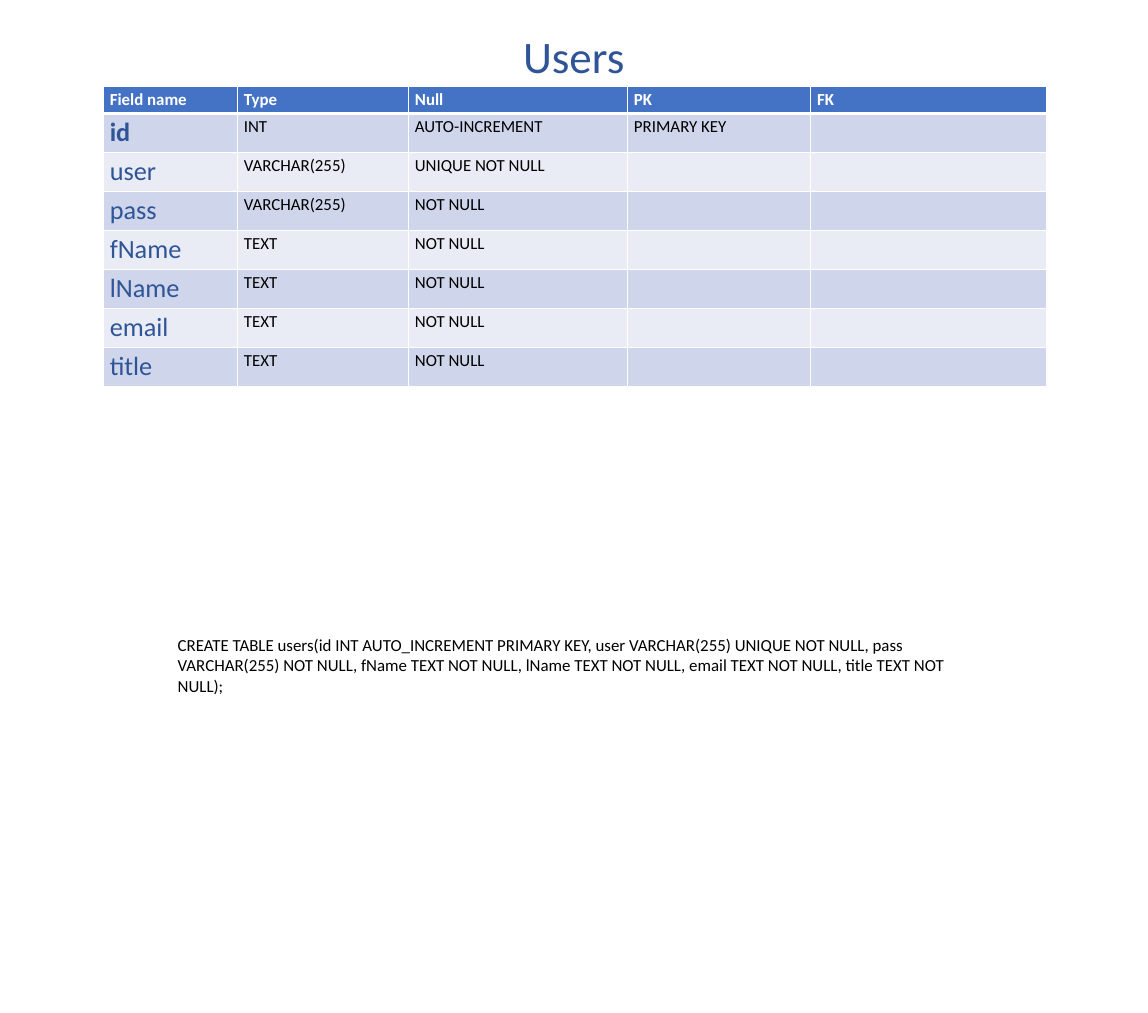
from lxml import etree
from pptx import Presentation
from pptx.dml.color import RGBColor
from pptx.enum.text import MSO_ANCHOR, MSO_AUTO_SIZE, PP_ALIGN
from pptx.oxml.ns import qn
from pptx.util import Inches, Pt

# Content
TITLE = "Users"
HEADER = ("Field name", "Type", "Null", "PK", "FK")
FIELDS = [
    ("id", "INT", "AUTO-INCREMENT", "PRIMARY KEY", ""),
    ("user", "VARCHAR(255)", "UNIQUE NOT NULL", "", ""),
    ("pass", "VARCHAR(255)", "NOT NULL", "", ""),
    ("fName", "TEXT", "NOT NULL", "", ""),
    ("lName", "TEXT", "NOT NULL", "", ""),
    ("email", "TEXT", "NOT NULL", "", ""),
    ("title", "TEXT", "NOT NULL", "", ""),
]
SQL = ("CREATE TABLE users(id INT AUTO_INCREMENT PRIMARY KEY, "
       "user VARCHAR(255) UNIQUE NOT NULL, pass VARCHAR(255) NOT NULL, "
       "fName TEXT NOT NULL, lName TEXT NOT NULL, email TEXT NOT NULL, "
       "title TEXT NOT NULL);")

# Style and layout, in pixels
COLORS = {"white": "FFFFFF", "black": "000000", "navy": "2F5597",
          "header": "4472C4", "band_dark": "CFD5EA", "band_light": "E9EBF5"}
FONT = "Calibri"
TITLE_BOX = (486, 25, 175, 61)
SQL_BOX = (171, 631, 800, 68)
TABLE_LEFT, TABLE_TOP = 103, 86
COLUMN_WIDTHS = (134, 171, 219, 183, 236)
HEADER_HEIGHT, ROW_HEIGHT = 27, 39


def px(value):
    return round(value * Inches(1) / 67.5)


def write(frame, text, size, color, bold=False, align=PP_ALIGN.LEFT):
    frame.text = text
    paragraph = frame.paragraphs[0]
    paragraph.alignment = align
    font = paragraph.font
    if paragraph.runs:
        font = paragraph.runs[0].font
    font.name, font.size, font.bold = FONT, Pt(size), bold
    font.color.rgb = RGBColor.from_string(COLORS[color])


def set_borders(cell, top, bottom):
    properties = cell._tc.get_or_add_tcPr()
    widths = {"a:lnL": 1, "a:lnR": 1, "a:lnT": top, "a:lnB": bottom}
    for position, (tag, width) in enumerate(widths.items()):
        line = etree.Element(qn(tag), w=str(Pt(width)))
        fill = etree.SubElement(line, qn("a:solidFill"))
        etree.SubElement(fill, qn("a:srgbClr"), val=COLORS["white"])
        properties.insert(position, line)


prs = Presentation()
prs.slide_width, prs.slide_height = Inches(17), Inches(15)
slide = prs.slides.add_slide(prs.slide_layouts[5])

# Title
title = slide.shapes.title
title.left, title.top, title.width, title.height = map(px, TITLE_BOX)
write(title.text_frame, TITLE, 48, "navy", align=PP_ALIGN.CENTER)
title.text_frame.vertical_anchor = MSO_ANCHOR.TOP
title.text_frame.auto_size = MSO_AUTO_SIZE.NONE

# Field table
rows = [HEADER] + FIELDS
heights = [HEADER_HEIGHT] + [ROW_HEIGHT] * len(FIELDS)
table = slide.shapes.add_table(
    len(rows), len(HEADER), px(TABLE_LEFT), px(TABLE_TOP),
    px(sum(COLUMN_WIDTHS)), px(sum(heights))).table
for column, width in zip(table.columns, COLUMN_WIDTHS):
    column.width = px(width)
for r, (values, height) in enumerate(zip(rows, heights)):
    table.rows[r].height = px(height)
    band = "header" if r == 0 else "band_dark" if r % 2 else "band_light"
    for c, value in enumerate(values):
        cell = table.cell(r, c)
        if r == 0:
            size, color = 18, "white"
        elif c == 0:
            size, color = 28, "navy"
        else:
            size, color = 18, "black"
        write(cell.text_frame, value, size, color, bold=r == 0 or value == "id")
        cell.fill.solid()
        cell.fill.fore_color.rgb = RGBColor.from_string(COLORS[band])
        set_borders(cell, top=3 if r == 1 else 1, bottom=3 if r == 0 else 1)

# SQL statement
statement = slide.shapes.add_textbox(*map(px, SQL_BOX)).text_frame
statement.word_wrap = True
write(statement, SQL, 18, "black")

prs.save("out.pptx")
